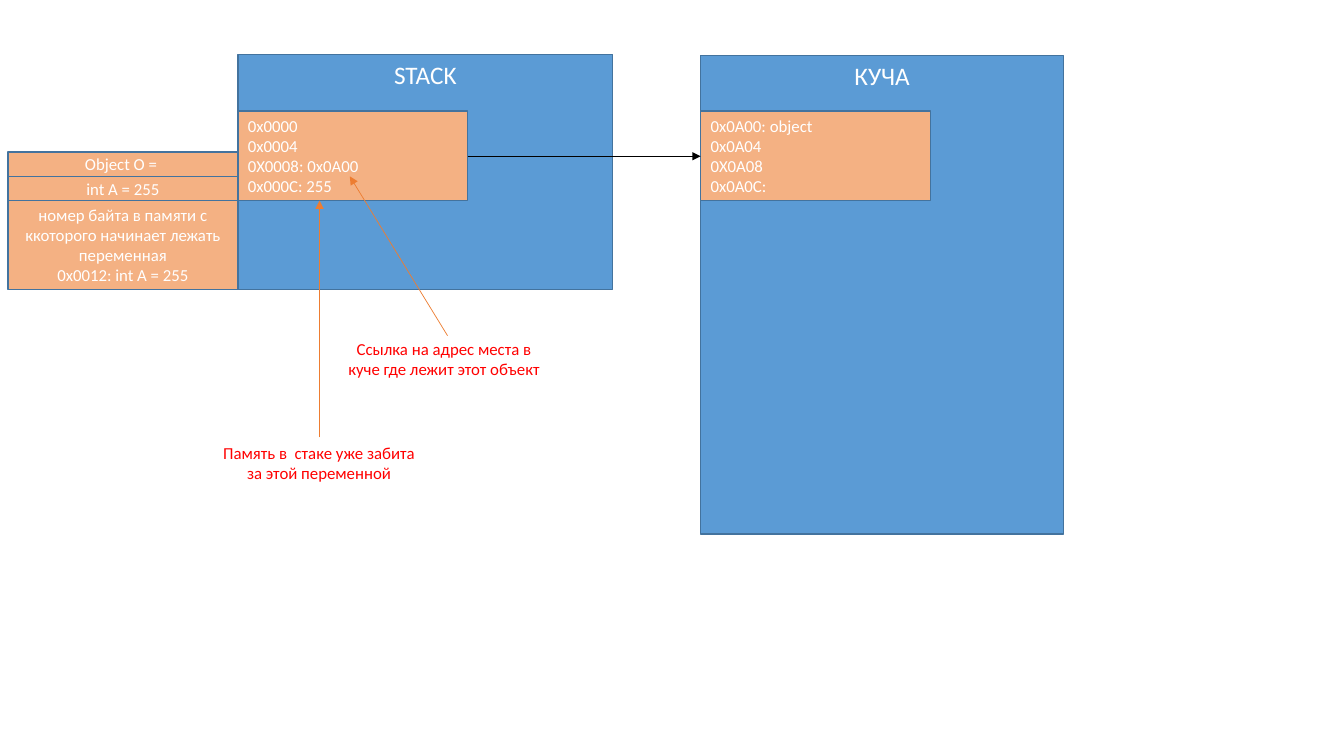
from pptx import Presentation
from pptx.util import Inches, Pt
from pptx.dml.color import RGBColor
from pptx.enum.shapes import MSO_SHAPE as Form, MSO_CONNECTOR as Link
from pptx.enum.text import PP_ALIGN as Align, MSO_ANCHOR as Anchor
from pptx.oxml.ns import qn
from lxml.etree import SubElement as Sub

deck = Presentation()
deck.slide_width, deck.slide_height = Inches(13.33), Inches(7.5)
slide = deck.slides.add_slide(deck.slide_layouts[6])
shapes = slide.shapes
col, row = deck.slide_width / 100, deck.slide_height / 100


def paint(code):
    return RGBColor.from_string(code)


def write(shape, lines, size, tint, align, anchor):
    frame = shape.text_frame
    frame.word_wrap = True
    frame.vertical_anchor = anchor
    for i, line in enumerate(lines):
        para = frame.paragraphs[0] if i == 0 else frame.add_paragraph()
        para.alignment = align
        run = para.add_run()
        run.text = line
        run.font.name = "Calibri"
        run.font.size = Pt(size)
        run.font.color.rgb = paint(tint)


BLUE, PEACH, EDGE = "5B9BD5", "F4B183", "43739E"
WHITE, RED, BLACK, ORANGE = "FFFFFF", "FF0000", "000000", "ED7D31"
left, stack, heap = 0.6, 17.7, 52.13
wide = stack - left
top, base, thin = 14.67, 26.53, 3.2
tall = base - top

head = (BLUE, 18, Align.CENTER, Anchor.TOP)
cell = (PEACH, 12, Align.CENTER, Anchor.MIDDLE)
dump = (PEACH, 12, Align.LEFT, Anchor.MIDDLE)
boxes = [
    (stack, 7.2, 27.9, 31.07, head, ["STACK"]),
    (heap, 7.33, 27, 63.33, head, ["КУЧА"]),
    (left, base, wide, 11.73, cell,
     ["номер байта в памяти с ккоторого начинает лежать переменная",
      "0x0012: int A = 255"]),
    (stack, top, wide, tall, dump,
     ["0x0000", "0х0004", "0Х0008: 0x0A00", "0х000С: 255"]),
    (heap, top, wide, tall, dump,
     ["0x0A00: object", "0х0A04", "0Х0A08", "0х0A0С:"]),
    (left, base - thin, wide, thin, cell, ["int A = 255"]),
    (left, base - 2 * thin, wide, thin, cell, ["Object O = "]),
]
for x, y, w, h, (fill, size, align, anchor), lines in boxes:
    box = shapes.add_shape(Form.RECTANGLE, int(x * col), int(y * row),
                           int(w * col), int(h * row))
    box.shadow.inherit = False
    box.fill.solid()
    box.fill.fore_color.rgb = paint(fill)
    box.line.color.rgb = paint(EDGE)
    box.line.width = Pt(1)
    write(box, lines, size, WHITE, align, anchor)

arrows = [
    (stack + wide, 20.67, heap, 20.67, BLACK),
    (33.3, 44.4, 26.03, 23.33, ORANGE),
    (23.78, 57.87, 23.78, base, ORANGE),
]
for x, y, u, v, tint in arrows:
    arrow = shapes.add_connector(Link.STRAIGHT, int(x * col), int(y * row),
                                 int(u * col), int(v * row))
    arrow.line.color.rgb = paint(tint)
    arrow.line.width = Pt(0.5)
    Sub(arrow.line._get_or_add_ln(), qn("a:tailEnd"), type="triangle")
    Sub(arrow._element.spPr, qn("a:effectLst"))

notes = [
    (25.13, 44.13, "Ссылка на адрес места в куче где лежит этот объект"),
    (15.83, 57.87, "Память в  стаке уже забита за этой переменной"),
]
for x, y, line in notes:
    note = shapes.add_textbox(int(x * col), int(y * row),
                              int(15.83 * col), int(6.67 * row))
    write(note, [line], 12, RED, Align.CENTER, Anchor.TOP)

deck.save("out.pptx")
